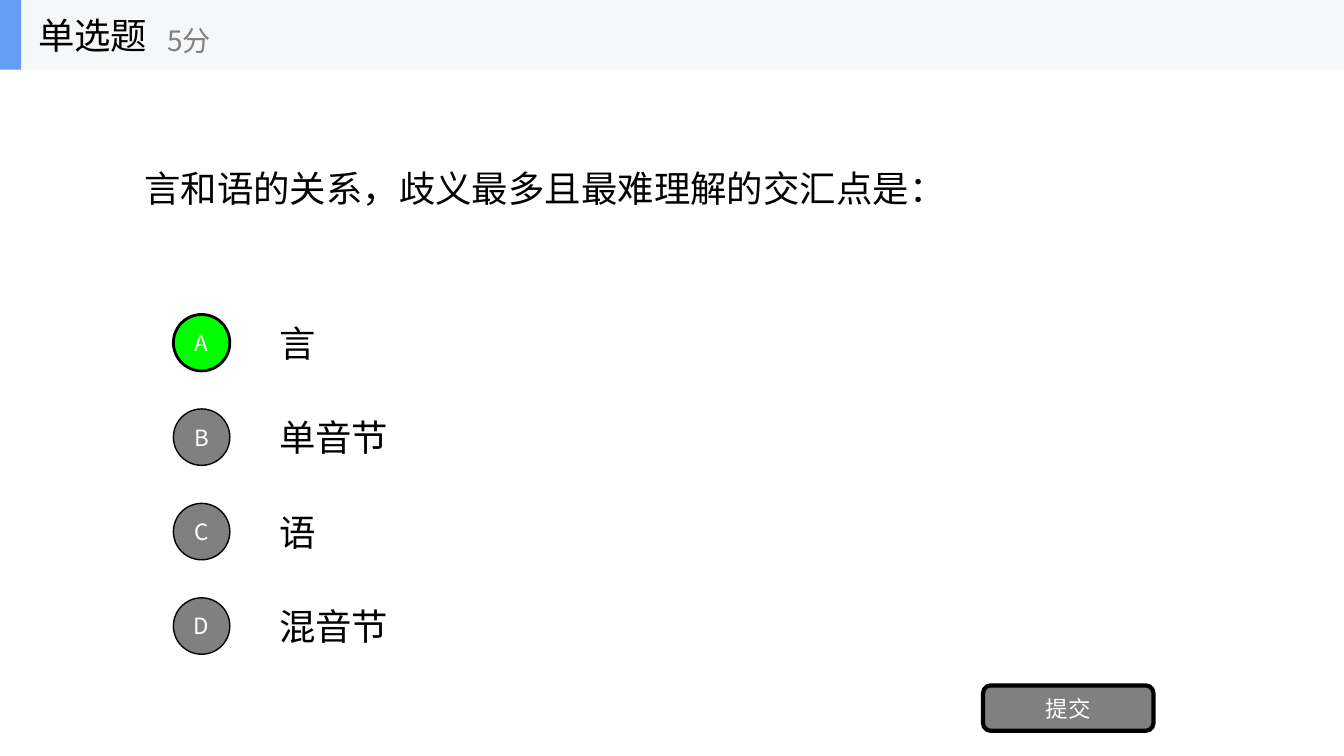
from lxml import etree
from pptx import Presentation
from pptx.dml.color import RGBColor
from pptx.enum import shapes, text
from pptx.oxml.ns import qn
from pptx.util import Inches, Pt

FONT = "Noto Sans CJK SC"
BLACK = RGBColor(0x00, 0x00, 0x00)
WHITE = RGBColor(0xFF, 0xFF, 0xFF)
GRAY = RGBColor(0x80, 0x80, 0x80)
GREEN = RGBColor(0x00, 0xFF, 0x00)
BLUE = RGBColor(0x63, 0x9E, 0xF4)
PALE = RGBColor(0xF6, 0xF7, 0xF8)

W, H = 13.33, 7.5
HEADER_H = 0.69
OPTION_H, OPTION_STEP = 0.7, 0.937
CIRCLE = 0.56


def write(sp, words, size=26, color=BLACK, align=text.PP_ALIGN.LEFT):
    """Put one formatted line of text in a shape."""
    tf = sp.text_frame
    tf.word_wrap = True
    tf.auto_size = text.MSO_AUTO_SIZE.NONE
    tf.vertical_anchor = text.MSO_ANCHOR.MIDDLE
    p = tf.paragraphs[0]
    p.alignment = align
    r = p.add_run()
    r.text = words
    r.font.size = Pt(size)
    r.font.color.rgb = color
    r.font.name = FONT
    ea = etree.SubElement(r.font._element, qn("a:ea"))
    ea.set("typeface", FONT)


def add_label(parent, words, x, y, w, h, **fmt):
    sp = parent.add_textbox(Inches(x), Inches(y), Inches(w), Inches(h))
    write(sp, words, **fmt)


def add_block(parent, kind, x, y, w, h, fill, line=0):
    """Add a filled shape, outlined in black if line is set."""
    sp = parent.add_shape(kind, Inches(x), Inches(y), Inches(w), Inches(h))
    sp.shadow.inherit = False
    sp.fill.solid()
    sp.fill.fore_color.rgb = fill
    if line:
        sp.line.color.rgb = BLACK
        sp.line.width = Pt(line)
    else:
        sp.line.fill.background()
    return sp


def add_button(parent, kind, words, x, y, w, h, fill=GRAY, line=1):
    sp = add_block(parent, kind, x, y, w, h, fill, line)
    tf = sp.text_frame
    tf.margin_left = tf.margin_right = tf.margin_top = tf.margin_bottom = 0
    write(sp, words, size=16, color=WHITE, align=text.PP_ALIGN.CENTER)


def add_question(s, words, x, y, w, h):
    title = s.shapes.title
    title.left, title.top = Inches(x), Inches(y)
    title.width, title.height = Inches(w), Inches(h)
    write(title, words)


def add_options(s, options, chosen, x, y, w):
    """Stack lettered circles with their answers to the right."""
    text_x = x + 0.95
    for i, answer in enumerate(options):
        top = y + i * OPTION_STEP
        add_label(s.shapes, answer, text_x, top, w - 0.95, OPTION_H)
        add_button(s.shapes, shapes.MSO_SHAPE.OVAL, "ABCD"[i],
                   x, top + (OPTION_H - CIRCLE) / 2, CIRCLE, CIRCLE,
                   fill=GREEN if i == chosen else GRAY,
                   line=2 if i == chosen else 1)


def add_header(s, kind, points, x, y, w, h):
    """Group the pale band, its accent, the question type and the points."""
    band = s.shapes.add_group_shape().shapes
    add_block(band, shapes.MSO_SHAPE.RECTANGLE, x, y, w, h, PALE)
    add_block(band, shapes.MSO_SHAPE.RECTANGLE, x, y, 0.21, h, BLUE)
    add_label(band, kind, x + 0.28, y, 2.08, h)
    add_label(band, points, x + 1.56, y + 0.12, 2.5, 0.56, size=20, color=GRAY)


def main():
    prs = Presentation()
    prs.slide_width, prs.slide_height = Inches(W), Inches(H)
    s = prs.slides.add_slide(prs.slide_layouts[5])

    # Question and answers
    add_question(s, "言和语的关系，歧义最多且最难理解的交汇点是：",
                 1.33, HEADER_H, 10.67, 2.34)
    add_options(s, ["言", "单音节", "语", "混音节"], 0, 1.72, 3.05, 10.28)

    # Submit button
    add_button(s.shapes, shapes.MSO_SHAPE.ROUNDED_RECTANGLE, "提交",
               9.75, 6.8, 1.69, 0.45, line=3)

    # Header band
    add_header(s, "单选题", "5分", 0, 0, W, HEADER_H)

    prs.save("out.pptx")


if __name__ == "__main__":
    main()
